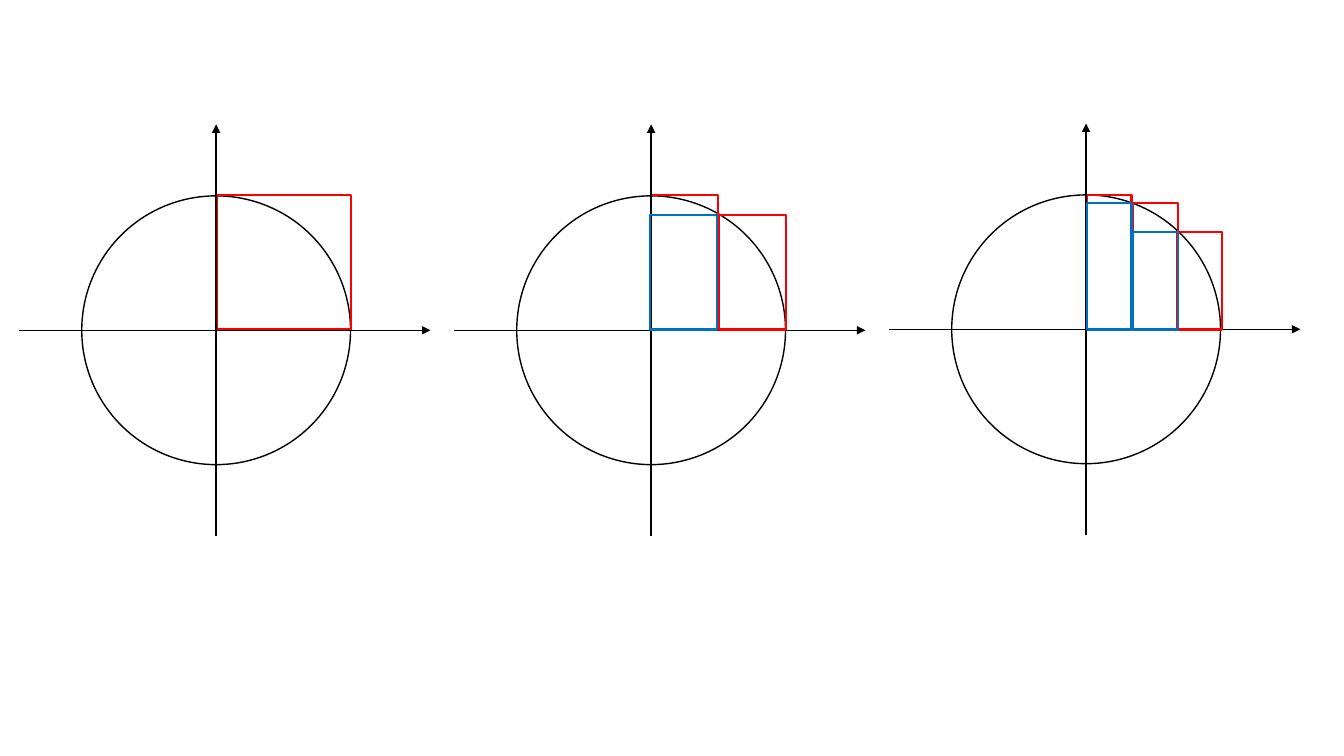
from lxml import etree
from pptx import Presentation
from pptx.dml.color import RGBColor as Rgb
from pptx.enum.shapes import MSO_CONNECTOR as Link, MSO_SHAPE as Kind
from pptx.oxml.ns import qn
from pptx.util import Pt

COLORS = {"ink": "000000", "outer": "FF0000", "inner": "0070C0"}
RADIUS = 96
BASE = 235.4
PITCH = 310.7

deck = Presentation()
deck.slide_width, deck.slide_height = Pt(960), Pt(540)
slide = deck.slides.add_slide(deck.slide_layouts[6])


def outline(kind, box, color, weight):
    shape = slide.shapes.add_shape(kind, *map(Pt, box))
    shape.shadow.inherit = False
    shape.fill.background()
    shape.line.color.rgb = Rgb.from_string(COLORS[color])
    shape.line.width = Pt(weight)


def axis(*ends):
    line = slide.shapes.add_connector(Link.STRAIGHT, *map(Pt, ends))
    line.line.color.rgb = Rgb.from_string(COLORS["ink"])
    line.line.width = Pt(1)
    etree.SubElement(line.line._get_or_add_ln(), qn("a:tailEnd"), type="triangle")
    etree.SubElement(line._element.spPr, qn("a:effectLst"))


# Each panel: centre height, bar offsets, bar heights, shift of the inner bars
panels = [
    (235.9, [0.4], [RADIUS], 0),
    (235.9, [0, 48.3], [RADIUS, 82.1], -0.7),
    (235.2, [0.4, 33.5, 65.2], [RADIUS, 90.7, 69.8], 0),
]

for col, (mid, steps, highs, shift) in enumerate(panels):
    x = 154.4 + col * PITCH
    wide = RADIUS / len(steps)
    outline(Kind.OVAL, (x - RADIUS, mid - RADIUS, 2 * RADIUS, 2 * RADIUS), "ink", 1)
    outline(Kind.RECTANGLE, (x + steps[0], BASE - highs[0], wide, highs[0]), "outer", 1.5)
    axis(x - 140.8, mid, x + 153, mid)
    axis(x, mid + 147, x, mid - 147)
    for prior, step, high in zip(steps, steps[1:], highs[1:]):
        for left, color in ((step, "outer"), (prior + shift, "inner")):
            outline(Kind.RECTANGLE, (x + left, BASE - high, wide, high), color, 1.5)

deck.save("out.pptx")
